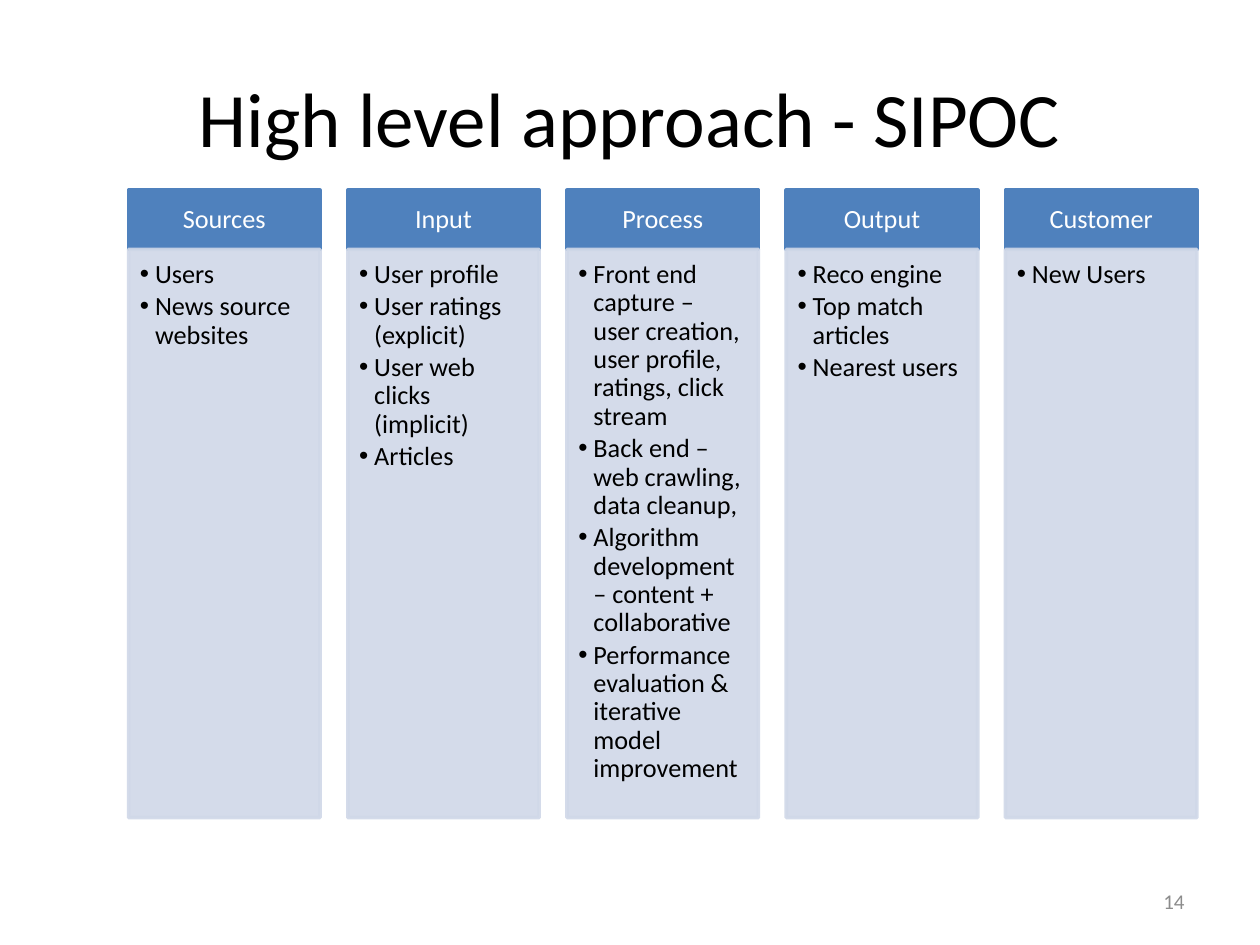
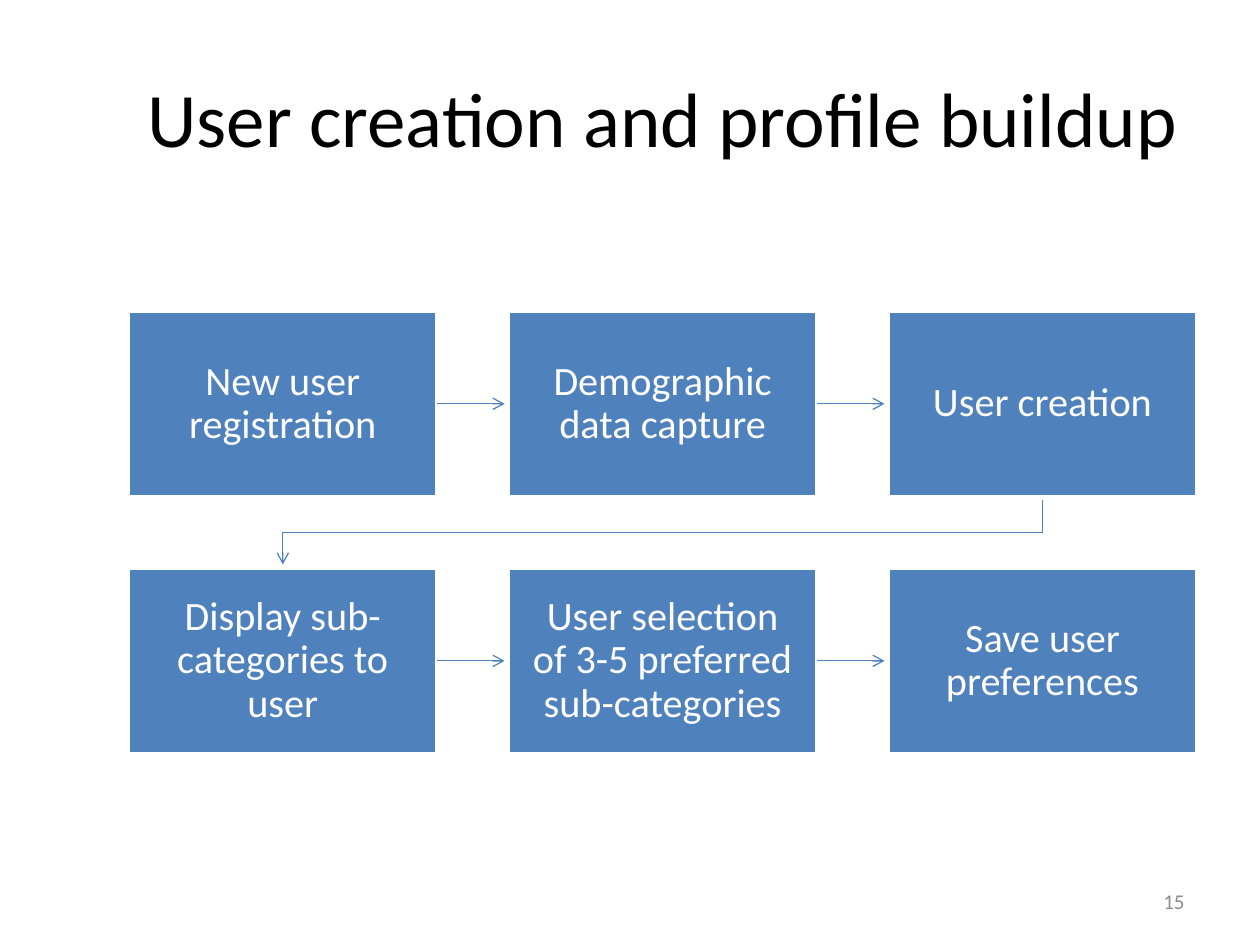
from dataclasses import dataclass

from lxml import etree
from pptx import Presentation
from pptx import util as u
from pptx.dml.color import RGBColor
from pptx.enum import shapes, text
from pptx.oxml import ns

# Content
SIPOC_TITLE, SIPOC_PAGE = "High level approach - SIPOC", 14
SIPOC = {
    "Sources": ["Users", "News source websites"],
    "Input": ["User profile", "User ratings (explicit)",
              "User web clicks (implicit)", "Articles"],
    "Process": [
        "Front end capture – user creation, user profile, ratings, click stream",
        "Back end – web crawling, data cleanup,",
        "Algorithm development – content + collaborative",
        "Performance evaluation & iterative model improvement",
    ],
    "Output": ["Reco engine", "Top match articles", "Nearest users"],
    "Customer": ["New Users"],
}
FLOW_TITLE, FLOW_PAGE = "User creation and profile buildup", 15
FLOW = [
    ["New user registration", "Demographic data capture", "User creation"],
    ["Display sub-categories to user",
     "User selection of 3-5 preferred sub-categories", "Save user preferences"],
]


@dataclass(frozen=True)
class Theme:
    font: str = "Calibri"
    accent: str = "4F81BD"
    panel: str = "D0D8E8"
    panel_alpha: int = 90
    ink: str = "000000"
    white: str = "FFFFFF"
    muted: str = "8C8C8C"
    title_size: float = 44
    column_size: float = 15
    step_size: float = 23
    page_size: float = 12
    border: float = 2
    arrow: float = 0.75
    line_spacing: float = 0.9


THEME = Theme()

# Layout, in inches
LEFT, RIGHT = 1.02, 9.5
COLUMN_W, HEAD_TOP, HEAD_H, BODY_H = 1.52, 1.51, 0.47, 4.51
STEP_W, STEP_H, STEP_TOP, ROW_PITCH = 2.45, 1.47, 2.47, 2.04
ARROW_GAP = 0.03
BULLET_INDENT = 0.12
CENTER, MIDDLE = text.PP_ALIGN.CENTER, text.MSO_ANCHOR.MIDDLE


def spread(count, width):
    """Left edges of equal boxes that fill the content width."""
    pitch = (RIGHT - LEFT - width) / (count - 1)
    return [LEFT + i * pitch for i in range(count)]


def add_xml(parent, tag, **attributes):
    return etree.SubElement(parent, ns.qn(tag), attributes)


def write(shape, lines, size, color, align, anchor=MIDDLE,
          insets=(0.1, 0.05, 0.1, 0.05), spacing=None, after=0, bullets=False):
    frame = shape.text_frame
    frame.word_wrap = True
    frame.vertical_anchor = anchor
    (frame.margin_left, frame.margin_top,
     frame.margin_right, frame.margin_bottom) = map(u.Inches, insets)
    for i, line in enumerate(lines):
        paragraph = frame.add_paragraph() if i else frame.paragraphs[0]
        paragraph.text = line
        paragraph.alignment = align
        if spacing:
            paragraph.line_spacing = spacing
            paragraph.space_after = u.Pt(after * size)
        if bullets:
            properties = paragraph._p.get_or_add_pPr()
            properties.set("marL", str(u.Inches(BULLET_INDENT)))
            properties.set("indent", str(-u.Inches(BULLET_INDENT)))
            add_xml(properties, "a:buFont", typeface="Arial")
            add_xml(properties, "a:buChar", char="•")
        paragraph.font.name = THEME.font
        paragraph.font.size = u.Pt(size)
        paragraph.font.color.rgb = RGBColor.from_string(color)


def add_label(slide, box, label, size, color, align):
    write(slide.shapes.add_textbox(*map(u.Inches, box)), [label], size, color, align)


def add_box(slide, box, fill, border, alpha=None):
    shape = slide.shapes.add_shape(shapes.MSO_SHAPE.RECTANGLE, *map(u.Inches, box))
    shape.shadow.inherit = False
    shape.fill.solid()
    shape.fill.fore_color.rgb = RGBColor.from_string(fill)
    shape.line.color.rgb = RGBColor.from_string(border)
    shape.line.width = u.Pt(THEME.border)
    if alpha:
        for color in shape.element.spPr.iter(ns.qn("a:srgbClr")):
            add_xml(color, "a:alpha", val=str(alpha * 1000))
    return shape


def style_arrow(arrow):
    arrow.line.color.rgb = RGBColor.from_string(THEME.accent)
    arrow.line.width = u.Pt(THEME.arrow)
    add_xml(arrow.element.spPr.find(ns.qn("a:ln")), "a:tailEnd", type="arrow")


def add_slide(deck, title, page, title_left):
    slide = deck.slides.add_slide(deck.slide_layouts[6])
    add_label(slide, (title_left, 0.3, RIGHT - title_left, 1.25), title,
              THEME.title_size, THEME.ink, CENTER)
    add_label(slide, (7.17, 6.95, 2.33, 0.4), str(page),
              THEME.page_size, THEME.muted, text.PP_ALIGN.RIGHT)
    return slide


def build_sipoc(deck):
    slide = add_slide(deck, SIPOC_TITLE, SIPOC_PAGE, 0.5)
    for left, (heading, items) in zip(spread(len(SIPOC), COLUMN_W), SIPOC.items()):
        head = add_box(slide, (left, HEAD_TOP, COLUMN_W, HEAD_H),
                       THEME.accent, THEME.accent)
        write(head, [heading], THEME.column_size, THEME.white, CENTER,
              insets=(0.12, 0.07, 0.12, 0.07), spacing=THEME.line_spacing)
        body = add_box(slide, (left, HEAD_TOP + HEAD_H, COLUMN_W, BODY_H),
                       THEME.panel, THEME.panel, THEME.panel_alpha)
        write(body, items, THEME.column_size, THEME.ink, text.PP_ALIGN.LEFT,
              text.MSO_ANCHOR.TOP, (0.09, 0.09, 0.12, 0.13),
              THEME.line_spacing, after=0.15, bullets=True)


def build_flow(deck):
    slide = add_slide(deck, FLOW_TITLE, FLOW_PAGE, LEFT)
    lefts = spread(len(FLOW[0]), STEP_W)
    for row, labels in enumerate(FLOW):
        top = STEP_TOP + row * ROW_PITCH
        middle = u.Inches(top + STEP_H / 2)
        previous = None
        for left, label in zip(lefts, labels):
            step = add_box(slide, (left, top, STEP_W, STEP_H),
                           THEME.accent, THEME.white)
            write(step, [label], THEME.step_size, THEME.white, CENTER,
                  insets=(0.18,) * 4, spacing=THEME.line_spacing)
            # Arrow from the step before
            if previous is not None:
                arrow = slide.shapes.add_connector(
                    shapes.MSO_CONNECTOR.STRAIGHT, previous.left + previous.width,
                    middle, u.Inches(left - ARROW_GAP), middle)
                arrow.begin_connect(previous, 3)
                style_arrow(arrow)
                add_xml(arrow.element.spPr, "a:effectLst")
            previous = step

    # Return arrow from the end of the first row to the second
    start_x, end_x = lefts[-1] + STEP_W / 2, lefts[0] + STEP_W / 2
    start_y, next_top = STEP_TOP + STEP_H, STEP_TOP + ROW_PITCH
    turn_y = (start_y + next_top) / 2
    points = [(start_x, start_y + ARROW_GAP), (start_x, turn_y), (end_x, turn_y),
              (end_x, next_top - ARROW_GAP)]
    corners = [(u.Inches(x), u.Inches(y)) for x, y in points]
    builder = slide.shapes.build_freeform(*corners[0])
    builder.add_line_segments(corners[1:], close=False)
    turn = builder.convert_to_shape()
    turn.fill.background()
    turn.shadow.inherit = False
    style_arrow(turn)


def main():
    deck = Presentation()
    deck.slide_width, deck.slide_height = u.Inches(10), u.Inches(7.5)
    build_sipoc(deck)
    build_flow(deck)
    deck.save("out.pptx")


if __name__ == "__main__":
    main()
